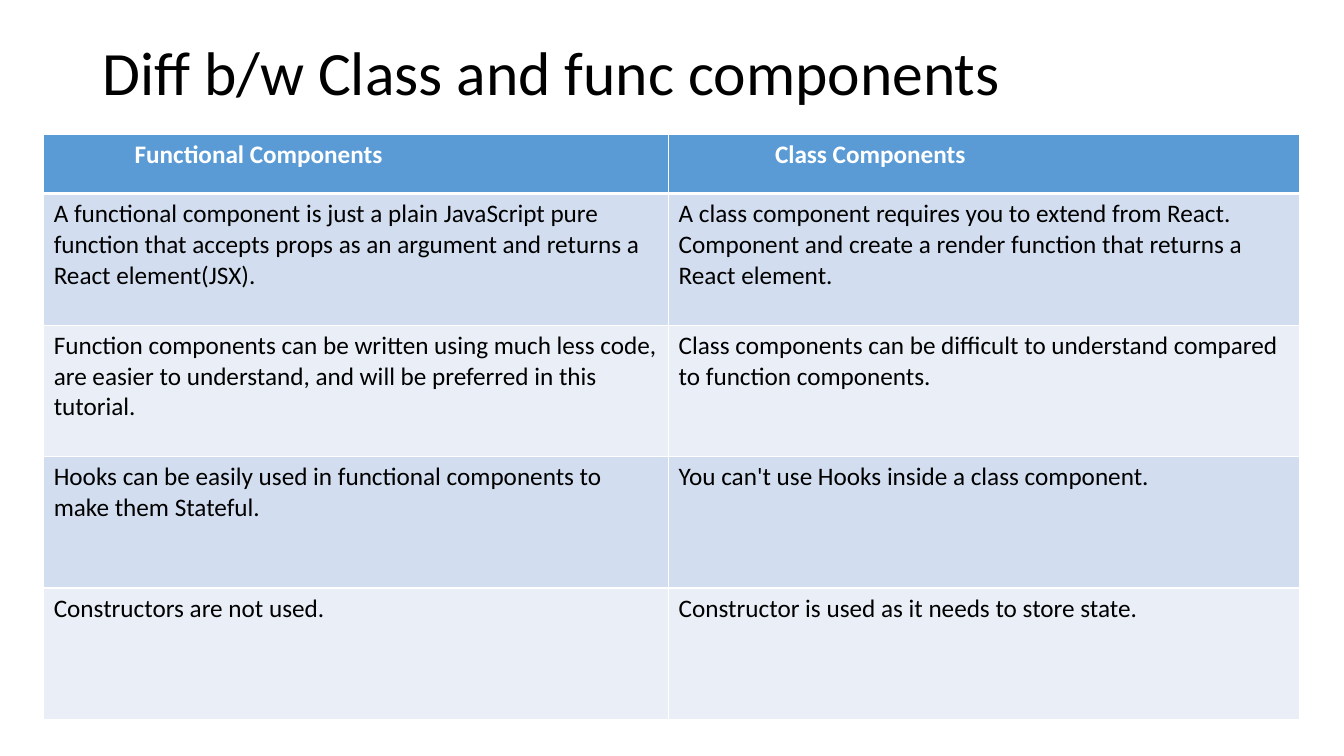
"""Build a slide comparing functional and class components in a table."""
from lxml import etree
from pptx import Presentation
from pptx.dml.color import RGBColor
from pptx.enum.text import MSO_ANCHOR
from pptx.oxml.ns import qn
from pptx.util import Pt

COLORS = {
    "header": "5B9BD5",
    "odd_row": "D2DEEF",
    "even_row": "EAEFF7",
    "white": "FFFFFF",
    "black": "000000",
}
FONT = "Calibri"
COLUMN_WIDTHS = [446.4, 450.8]
ROW_HEIGHTS = [42.4, 94.2, 93.8, 93.8, 93.8]
HEADER_MARGINS = [65, 76]
ROWS = [
    ("Functional Components", "Class Components"),
    ("A functional component is just a plain JavaScript pure function that "
     "accepts props as an argument and returns a React element(JSX).",
     "A class component requires you to extend from React. Component and "
     "create a render function that returns a React element."),
    ("Function components can be written using much less code, are easier to "
     "understand, and will be preferred in this tutorial.",
     "Class components can be difficult to understand compared to function components."),
    ("Hooks can be easily used in functional components to make them Stateful.",
     "You can't use Hooks inside a class component."),
    ("Constructors are not used.",
     "Constructor is used as it needs to store state."),
]


def add_run(paragraph, text, size, color, bold=False):
    run = paragraph.add_run()
    run.text = text
    run.font.name = FONT
    run.font.size = Pt(size)
    run.font.bold = bold
    run.font.color.rgb = RGBColor.from_string(COLORS[color])


def add_border(cell, side, width):
    properties = cell._tc.get_or_add_tcPr()
    line = etree.Element(qn(f"a:{side}"), w=str(Pt(width)))
    fill = etree.SubElement(line, qn("a:solidFill"))
    etree.SubElement(fill, qn("a:srgbClr"), val=COLORS["white"])
    properties.append(line)


presentation = Presentation()
presentation.slide_width = Pt(960)
presentation.slide_height = Pt(540)
slide = presentation.slides.add_slide(presentation.slide_layouts[6])

title = slide.shapes.add_textbox(Pt(66), Pt(2), Pt(828), Pt(104.4))
title.text_frame.word_wrap = True
title.text_frame.vertical_anchor = MSO_ANCHOR.MIDDLE
title_paragraph = title.text_frame.paragraphs[0]
title_paragraph.line_spacing = 0.9
add_run(title_paragraph, "Diff b/w Class and func components", 44, "black")

table = slide.shapes.add_table(
    len(ROWS), len(COLUMN_WIDTHS), Pt(31.2), Pt(95.8),
    Pt(sum(COLUMN_WIDTHS)), Pt(sum(ROW_HEIGHTS))).table
for column, width in zip(table.columns, COLUMN_WIDTHS):
    column.width = Pt(width)

for row_index, (texts, height) in enumerate(zip(ROWS, ROW_HEIGHTS)):
    table.rows[row_index].height = Pt(height)
    is_header = row_index == 0
    band = "header" if is_header else "odd_row" if row_index % 2 else "even_row"
    for column_index, text in enumerate(texts):
        cell = table.cell(row_index, column_index)
        if is_header:
            cell.margin_left = Pt(HEADER_MARGINS[column_index])
        add_run(cell.text_frame.paragraphs[0], text, 18,
                "white" if is_header else "black", is_header)
        for side in ("lnL", "lnR", "lnT", "lnB"):
            header_edge = (row_index, side) in ((0, "lnB"), (1, "lnT"))
            add_border(cell, side, 3 if header_edge else 1)
        cell.fill.solid()
        cell.fill.fore_color.rgb = RGBColor.from_string(COLORS[band])

presentation.save("out.pptx")
